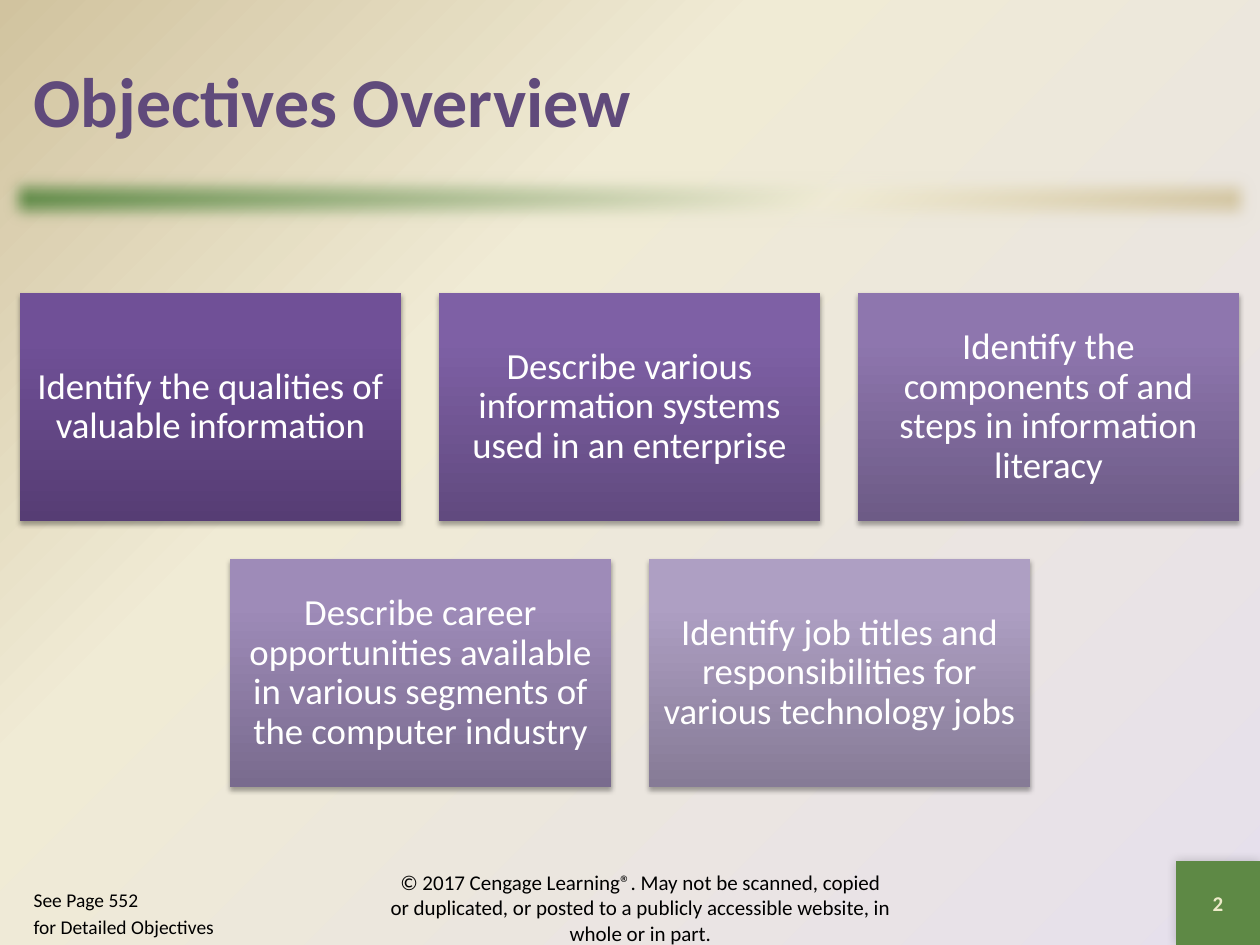
from dataclasses import dataclass

from lxml.etree import SubElement as Sub
from pptx import Presentation
from pptx.dml.color import RGBColor as Rgb
from pptx.enum.shapes import MSO_SHAPE as Kind
from pptx.enum.text import MSO_ANCHOR as Anchor, MSO_AUTO_SIZE as Fit, PP_ALIGN as Align
from pptx.oxml.ns import qn
from pptx.util import Pt

PX = 914400 / 126
WIDE, HIGH = 1260, 945
FONT = "Calibri"
HUES = {
    "title": "604A7B", "green": "5E8945", "cream": "F0EBD5", "tan": "D1C39F",
    "lilac": "E6E0EC", "number": "EEEBCA", "white": "FFFFFF", "black": "000000",
}


@dataclass
class Box:
    x: int
    y: int
    w: int
    h: int

    def emu(self) -> list[int]:
        return [round(v * PX) for v in (self.x, self.y, self.w, self.h)]


@dataclass
class Goal:
    text: str
    shades: tuple[str, str, str]


GOALS = [
    Goal("Identify the qualities of valuable information",
         ("563D74", "705097", "704F99")),
    Goal("Describe various information systems used in an enterprise",
         ("614A7F", "7E60A5", "7F60A7")),
    Goal("Identify the components of and steps in information literacy",
         ("6D5B86", "8E76AE", "8E75B0")),
    Goal("Describe career opportunities available in various segments of the computer industry",
         ("796B8E", "9E8BB8", "9E8BBA")),
    Goal("Identify job titles and responsibilities for various technology jobs",
         ("867B96", "AE9FC3", "AE9FC4")),
]


def blend(host, shades, mid: int, angle: int | None = None) -> None:
    """Swap the solid fill of host for a gradient; no angle means a corner glow."""
    old = host.find(qn("a:solidFill"))
    grad = host.makeelement(qn("a:gradFill"), {"rotWithShape": "1"})
    host.replace(old, grad)
    stops = Sub(grad, qn("a:gsLst"))
    for spot, shade in zip((0, mid, 100), shades):
        stop = Sub(stops, qn("a:gs"), pos=str(spot * 1000))
        Sub(stop, qn("a:srgbClr"), val=shade)
    if angle is None:
        glow = Sub(grad, qn("a:path"), path="circle")
        Sub(glow, qn("a:fillToRect"), l="100000", t="100000")
    else:
        Sub(grad, qn("a:lin"), ang=str(angle * 60000), scaled="1")


def shade(shape, alpha: int, blur: float, dist: float, angle: int) -> None:
    effects = shape._element.spPr.find(qn("a:effectLst"))
    drop = Sub(effects, qn("a:outerShdw"), blurRad=str(Pt(blur)), dist=str(Pt(dist)),
               dir=str(angle * 60000), rotWithShape="0")
    tint = Sub(drop, qn("a:srgbClr"), val=HUES["black"])
    Sub(tint, qn("a:alpha"), val=str(alpha * 1000))


def block(shapes, box: Box, hue: str):
    shape = shapes.add_shape(Kind.RECTANGLE, *box.emu())
    shape.shadow.inherit = False
    shape.fill.solid()
    shape.fill.fore_color.rgb = Rgb.from_string(hue)
    shape.line.fill.background()
    return shape


def frame(shape, anchor=Anchor.MIDDLE, inset: int | None = None):
    area = shape.text_frame
    area.word_wrap = True
    area.auto_size = Fit.NONE
    area.vertical_anchor = anchor
    if inset is not None:
        area.margin_left = area.margin_right = round(inset * PX)
        area.margin_top = area.margin_bottom = round(inset * PX)
    return area


def write(para, text: str, size: float, hue: str, align=Align.CENTER, bold=False) -> None:
    para.alignment = align
    run = para.add_run()
    run.text = text
    font = run.font
    font.name, font.size, font.bold = FONT, Pt(size), bold
    font.color.rgb = Rgb.from_string(hue)


def place(shape, box: Box) -> None:
    shape.left, shape.top, shape.width, shape.height = box.emu()


def draw_goals(shapes) -> None:
    wide, high, gap, top, cols = 381, 228, 38, 293, 3
    for row, first in enumerate(range(0, len(GOALS), cols)):
        line = GOALS[first:first + cols]
        # Each row is centred on the slide
        left = (WIDE - len(line) * (wide + gap) + gap) // 2
        for col, goal in enumerate(line):
            box = Box(left + col * (wide + gap), top + row * (high + gap), wide, high)
            card = block(shapes, box, goal.shades[0])
            blend(card._element.spPr, goal.shades, 80, 270)
            shade(card, 35, 3.1, 1.8, 90)
            para = frame(card, inset=11).paragraphs[0]
            para.line_spacing = 0.9
            write(para, goal.text, 21, HUES["white"])


def main() -> None:
    deck = Presentation()
    deck.slide_width, deck.slide_height = round(WIDE * PX), round(HIGH * PX)
    slide = deck.slides.add_slide(deck.slide_layouts[1])
    shapes = slide.shapes
    title, body = slide.placeholders[0], slide.placeholders[1]
    wash = [HUES["lilac"], HUES["cream"], HUES["tan"]]

    # Background
    slide.background.fill.solid()
    blend(slide._element.find(".//" + qn("p:bgPr")), wash, 65)

    # Soft divider under the title
    bar = block(shapes, Box(0, 168, WIDE, 63), HUES["green"])
    blend(bar._element.spPr, [HUES["green"], *wash[1:]], 65, 45)
    Sub(bar._element.spPr.find(qn("a:effectLst")), qn("a:softEdge"), rad="127000")

    # Title
    place(title, Box(21, 21, 1218, 158))
    write(frame(title).paragraphs[0], "Objectives Overview", 40, HUES["title"],
          Align.LEFT, True)

    draw_goals(shapes)

    # Page number
    badge = block(shapes, Box(1176, 861, 84, 84), HUES["green"])
    shade(badge, 20, 6, 0, 225)
    write(frame(badge).paragraphs[0], "2", 12, HUES["number"], bold=True)

    # Copyright line
    legal = shapes.add_textbox(*Box(378, 876, 525, 63).emu())
    write(frame(legal).paragraphs[0],
          "© 2017 Cengage Learning®. May not be scanned, copied or duplicated, "
          "or posted to a publicly accessible website, in whole or in part.",
          12, HUES["black"])

    # Page reference
    place(body, Box(21, 882, 231, 63))
    area = frame(body, Anchor.TOP)
    for i, text in enumerate(("See Page 552", "for Detailed Objectives")):
        para = area.add_paragraph() if i else area.paragraphs[0]
        props = para._p.get_or_add_pPr()
        props.set("marL", str(round(48 * PX)))
        props.set("indent", str(round(-48 * PX)))
        Sub(props, qn("a:buNone"))
        para.space_before = Pt(2.2 if i else 0)
        write(para, text, 11.1, HUES["black"], Align.LEFT)

    deck.save("out.pptx")


if __name__ == "__main__":
    main()
